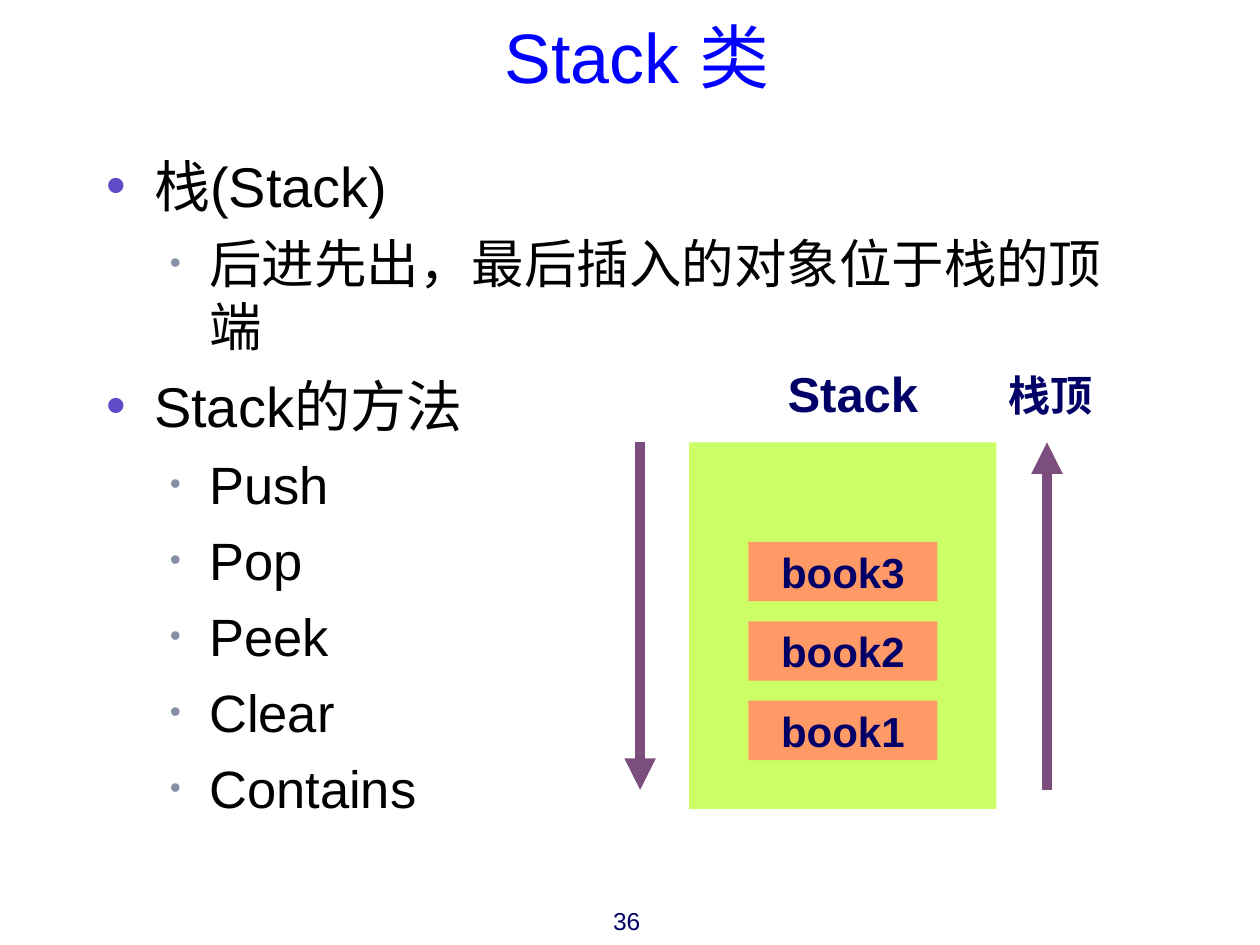
from lxml.etree import SubElement
from pptx import Presentation
from pptx.dml.color import RGBColor
from pptx.enum.shapes import MSO_CONNECTOR, MSO_SHAPE
from pptx.enum.text import MSO_ANCHOR, PP_ALIGN
from pptx.oxml.ns import qn
from pptx.util import Pt

BLUE = RGBColor(0x00, 0x00, 0xFF)
NAVY = RGBColor(0x00, 0x00, 0x66)
BLACK = RGBColor(0x00, 0x00, 0x00)
LIME = RGBColor(0xCC, 0xFF, 0x66)
ORANGE = RGBColor(0xFF, 0x99, 0x66)
PLUM = RGBColor(0x7C, 0x4E, 0x7E)
VIOLET = RGBColor(0x5D, 0x4B, 0xC7)
SLATE = RGBColor(0x87, 0x8F, 0xA5)

# Per outline level: text size, left margin, hanging indent, bullet colour, bullet %
LEVELS = [(32, 27, 27, VIOLET, 100), (30, 58.5, 22.5, SLATE, 60)]

OUTLINE = [
    (0, "栈(Stack)"),
    (1, "后进先出，最后插入的对象位于栈的顶端"),
    (0, "Stack的方法"),
    (1, "Push"),
    (1, "Pop"),
    (1, "Peek"),
    (1, "Clear"),
    (1, "Contains"),
]


def write(p, text, size=24, color=NAVY, bold=False, align=PP_ALIGN.LEFT):
    p.alignment = align
    r = p.add_run()
    r.text = text
    r.font.name = "Arial"
    r.font.size = Pt(size)
    r.font.bold = bold
    r.font.color.rgb = color


def add_bullet(p, margin, hanging, color, percent):
    pPr = p._p.get_or_add_pPr()
    pPr.set("marL", str(Pt(margin)))
    pPr.set("indent", str(-Pt(hanging)))
    SubElement(SubElement(pPr, qn("a:buClr")), qn("a:srgbClr"), val=str(color))
    SubElement(pPr, qn("a:buSzPct"), val=str(percent * 1000))
    SubElement(pPr, qn("a:buFont"), typeface="Arial")
    SubElement(pPr, qn("a:buChar"), char="•")


class Deck:
    def __init__(self, width, height, font_color):
        self.prs = Presentation()
        self.prs.slide_width, self.prs.slide_height = Pt(width), Pt(height)
        self.font_color = font_color
        self.s = self.prs.slides.add_slide(self.prs.slide_layouts[6])

    def text(self, box, text, anchor=MSO_ANCHOR.TOP, wrap=True, **fmt):
        tf = self.s.shapes.add_textbox(*map(Pt, box)).text_frame
        tf.word_wrap = wrap
        tf.vertical_anchor = anchor
        write(tf.paragraphs[0], text, **{"color": self.font_color, **fmt})

    def outline(self, box, items):
        tf = self.s.shapes.add_textbox(*map(Pt, box)).text_frame
        tf.word_wrap = True
        for i, (level, text) in enumerate(items):
            size, *bullet = LEVELS[level]
            p = tf.add_paragraph() if i else tf.paragraphs[0]
            p.level = level
            if i:
                p.space_before = Pt(size / 4)
            add_bullet(p, *bullet)
            write(p, text, size=size, color=BLACK)

    def rect(self, box, fill, text=None):
        sp = self.s.shapes.add_shape(MSO_SHAPE.RECTANGLE, *map(Pt, box))
        sp.shadow.inherit = False
        sp.fill.solid()
        sp.fill.fore_color.rgb = fill
        sp.line.fill.background()
        if text:
            tf = sp.text_frame
            tf.word_wrap = False
            tf.vertical_anchor = MSO_ANCHOR.MIDDLE
            write(tf.paragraphs[0], text, color=self.font_color, bold=True,
                  align=PP_ALIGN.CENTER)

    def arrow(self, x, top, bottom, tip):
        """Draw a vertical line from top to bottom; tip is headEnd (top) or tailEnd (bottom)."""
        c = self.s.shapes.add_connector(
            MSO_CONNECTOR.STRAIGHT, Pt(x), Pt(top), Pt(x), Pt(bottom))
        c.line.color.rgb = PLUM
        c.line.width = Pt(6)
        SubElement(c.line._get_or_add_ln(), qn(f"a:{tip}"), type="triangle")
        SubElement(c._element.spPr, qn("a:effectLst"))


def main():
    deck = Deck(720, 540, NAVY)
    deck.text((320.4, 514, 52.6, 15), "36", size=14, align=PP_ALIGN.RIGHT)
    deck.text((82, 8.6, 563.8, 46.8), "Stack 类", anchor=MSO_ANCHOR.MIDDLE,
              size=40, color=BLUE, align=PP_ALIGN.CENTER)
    deck.outline((54, 82.8, 612, 351.4), OUTLINE)

    stack_top = 252.8
    deck.rect((393.8, stack_top, 175.7, 209.5), LIME)
    for i, book in enumerate(["book3", "book2", "book1"]):
        deck.rect((427.7, 309.6 + i * 45.4, 108, 34), ORANGE, book)

    deck.text((433.4, 207.4, 108, 34), "Stack", anchor=MSO_ANCHOR.MIDDLE,
              wrap=False, size=28, bold=True, align=PP_ALIGN.CENTER)
    deck.text((569.5, 207.4, 96.5, 36), "栈顶", bold=True)
    for x, tip in [(365.8, "tailEnd"), (598.3, "headEnd")]:
        deck.arrow(x, stack_top, 451.4, tip)

    deck.prs.save("out.pptx")


if __name__ == "__main__":
    main()
